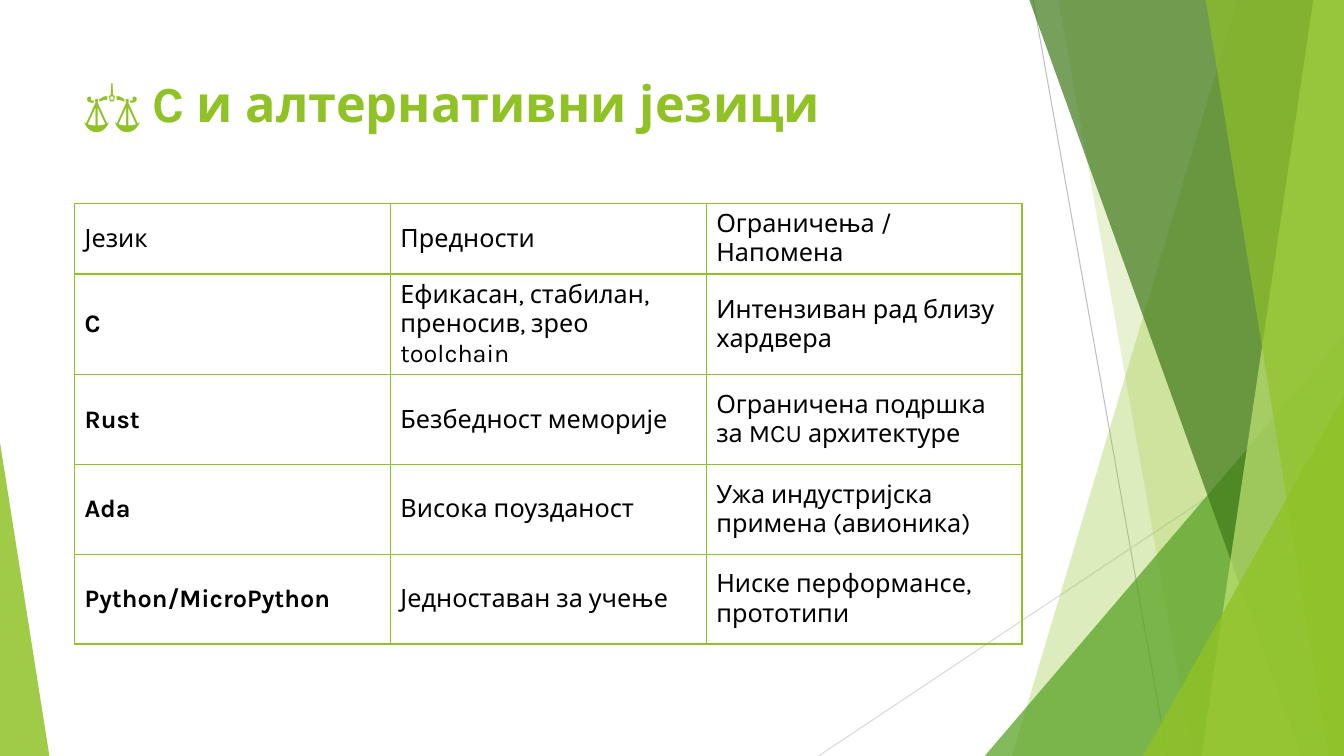
from lxml import etree
from pptx import Presentation, util as u
from pptx.dml.color import RGBColor
from pptx.enum import shapes, text
from pptx.oxml.ns import qn

PAGE_WIDTH, PAGE_HEIGHT = 960, 540
FONT = "Karla"
COLORS = {
    "lime": "90C226",
    "leaf": "54A021",
    "forest": "3F7819",
    "pale": "C0E474",
    "gray": "BFBFBF",
    "silver": "D9D9D9",
    "black": "000000",
}
TITLE = [("⚖️ ", False), ("C и алтернативни језици", True)]
ROWS = [
    ("Језик", "Предности", "Ограничења / Напомена"),
    ("C", "Ефикасан, стабилан, преносив, зрео toolchain", "Интензиван рад близу хардвера"),
    ("Rust", "Безбедност меморије", "Ограничена подршка за MCU архитектуре"),
    ("Ada", "Висока поузданост", "Ужа индустријска примена (авионика)"),
    ("Python/MicroPython", "Једноставан за учење", "Ниске перформансе, прототипи"),
]


def color(name):
    return RGBColor.from_string(COLORS[name])


def write(para, words, size=18, bold=False, tint="black"):
    span = para.add_run()
    span.text = words
    span.font.name = FONT
    span.font.size = u.Pt(size)
    span.font.bold = bold
    span.font.color.rgb = color(tint)


def paint(shape, tint, opacity):
    shape.shadow.inherit = False
    shape.line.fill.background()
    shape.fill.solid()
    shape.fill.fore_color.rgb = color(tint)
    tone = shape.fill._xPr.find(qn("a:solidFill"))[0]
    etree.SubElement(tone, qn("a:alpha"), val=str(opacity * 1000))


def add_line(page, start, end, tint):
    points = [u.Pt(value) for value in (*start, *end)]
    line = page.shapes.add_connector(shapes.MSO_CONNECTOR.STRAIGHT, *points)
    line.line.color.rgb = color(tint)
    line.line.width = u.Pt(0.75)
    etree.SubElement(line._element.spPr, qn("a:effectLst"))


def add_band(page, box, top_x, bottom_x, tint, opacity):
    left, top, width, height = box
    right, bottom = left + width, top + height
    corners = [(top_x, top), (right, top), (right, bottom), (bottom_x, bottom)]
    corners = [(u.Pt(x), u.Pt(y)) for x, y in corners]
    outline = page.shapes.build_freeform(*corners[0], scale=1.0)
    outline.add_line_segments(corners[1:], close=True)
    paint(outline.convert_to_shape(), tint, opacity)


def add_corner(page, box, width, height, peak, tint, opacity):
    left = box[0] + (box[2] - width) * peak
    top = box[1] + box[3] - height
    triangle = page.shapes.add_shape(
        shapes.MSO_SHAPE.ISOSCELES_TRIANGLE, u.Pt(left), u.Pt(top), u.Pt(width), u.Pt(height))
    triangle.adjustments[0] = peak
    paint(triangle, tint, opacity)


def add_decoration(page, box):
    band_box = (box[0], box[1] - 0.6, box[2], box[3] + 0.6)
    right, bottom = box[0] + box[2], box[1] + box[3]
    add_line(page, (738, box[1]), (833.8, bottom), "gray")
    add_line(page, (right, 290.2), (584.6, bottom), "silver")
    add_band(page, band_box, 884.2, 722.9, "lime", 30)
    add_band(page, band_box, 756, 851.8, "lime", 20)
    add_corner(page, box, 256.6, 300.2, 1, "leaf", 72)
    add_band(page, band_box, 735.1, 929.5, "forest", 70)
    add_band(page, band_box, 938.2, 858.2, "pale", 70)
    add_band(page, band_box, 861.1, 949, "lime", 65)
    add_corner(page, box, 143.5, 257, 1, "lime", 80)
    add_corner(page, box, 35.3, 223.9, 0, "lime", 85)


def add_title(page, box):
    frame = page.shapes.add_textbox(*map(u.Pt, box)).text_frame
    frame.word_wrap = True
    frame.vertical_anchor = text.MSO_ANCHOR.TOP
    for words, bold in TITLE:
        write(frame.paragraphs[0], words, size=36, bold=bold, tint="lime")


def add_borders(cell):
    properties = cell._tc.get_or_add_tcPr()
    for side in ("lnL", "lnR", "lnT", "lnB"):
        border = etree.SubElement(properties, qn(f"a:{side}"), w=str(u.Pt(1)))
        fill = etree.SubElement(border, qn("a:solidFill"))
        etree.SubElement(fill, qn("a:srgbClr"), val=COLORS["lime"])


def add_languages(page, box, header_height=36.7):
    table = page.shapes.add_table(len(ROWS), len(ROWS[0]), *map(u.Pt, box)).table
    table.first_row = table.horz_banding = False
    body_height = (box[3] - header_height) / (len(ROWS) - 1)
    for column in table.columns:
        column.width = u.Pt(box[2] / len(ROWS[0]))
    for row_index, row in enumerate(ROWS):
        table.rows[row_index].height = u.Pt(body_height if row_index else header_height)
        for column_index, words in enumerate(row):
            cell = table.cell(row_index, column_index)
            add_borders(cell)
            cell.fill.background()
            cell.vertical_anchor = text.MSO_ANCHOR.MIDDLE
            write(cell.text_frame.paragraphs[0], words, bold=row_index > 0 and column_index == 0)


def main():
    deck = Presentation()
    deck.slide_width, deck.slide_height = u.Pt(PAGE_WIDTH), u.Pt(PAGE_HEIGHT)
    page = deck.slides.add_slide(deck.slide_layouts[6])
    add_decoration(page, (0, 0, PAGE_WIDTH, PAGE_HEIGHT))
    add_title(page, (53.3, 48, 676.8, 104))
    add_languages(page, (53.3, 145.3, 676.8, 293))
    deck.save("out.pptx")


if __name__ == "__main__":
    main()
